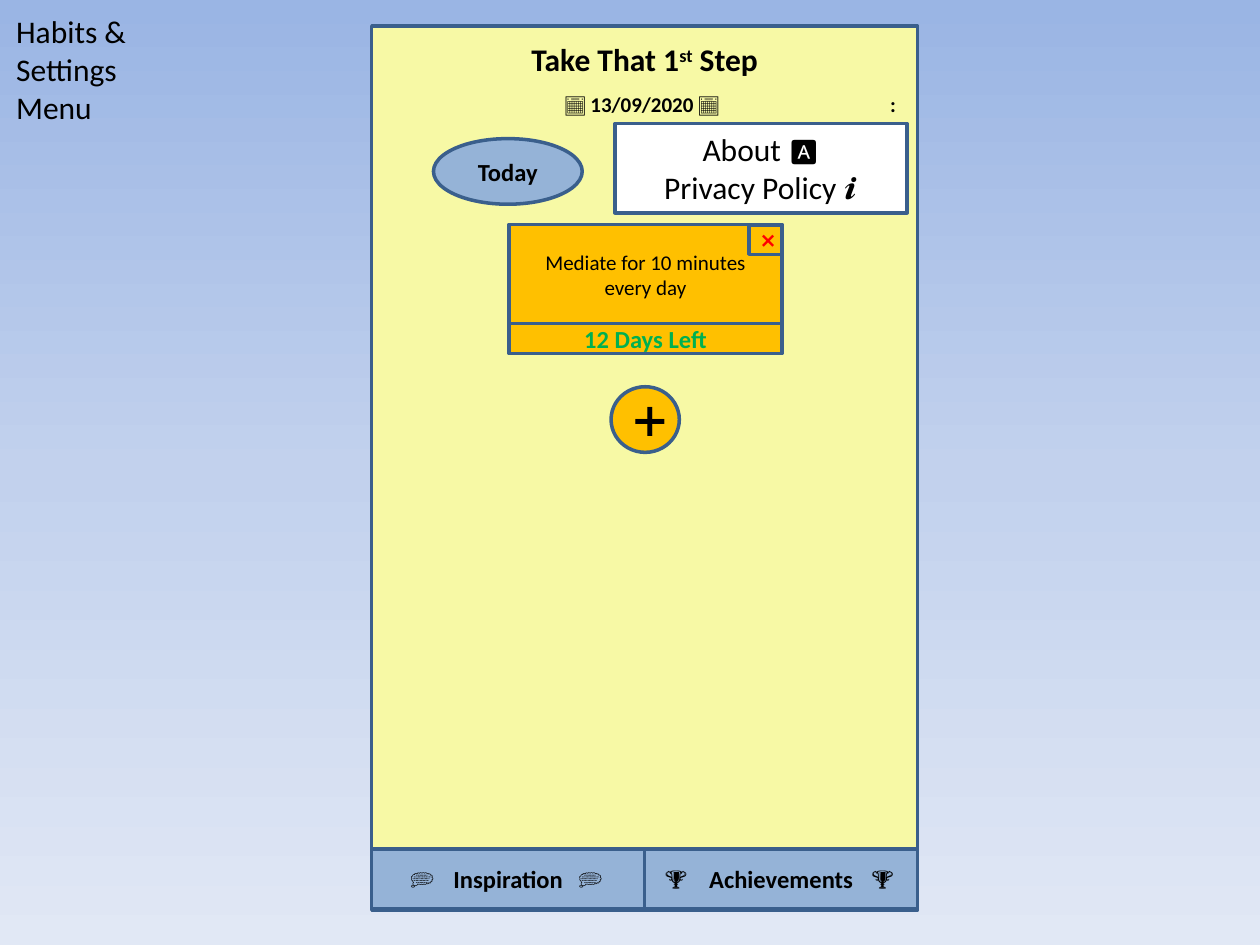
from lxml import etree
from pptx import Presentation
from pptx.dml.color import RGBColor
from pptx.enum.shapes import MSO_SHAPE
from pptx.enum.text import MSO_ANCHOR, PP_ALIGN
from pptx.oxml.ns import qn
from pptx.util import Pt

RECTANGLE, OVAL = MSO_SHAPE.RECTANGLE, MSO_SHAPE.OVAL
LEFT, CENTER, RIGHT = PP_ALIGN.LEFT, PP_ALIGN.CENTER, PP_ALIGN.RIGHT
TOP, MIDDLE = MSO_ANCHOR.TOP, MSO_ANCHOR.MIDDLE
COLORS = {
    "sky_top": "9AB5E4", "sky_middle": "C2D1ED", "sky_bottom": "E1E8F5",
    "screen": "F7F9A5", "blue": "95B3D7", "outline": "3A5F8C",
    "orange": "FFC000", "white": "FFFFFF", "black": "000000",
    "green": "00B050", "red": "FF0000",
}


def write(shape, lines, size, color="black", bold=False, align=CENTER, anchor=MIDDLE):
    frame = shape.text_frame
    frame.word_wrap = True
    frame.vertical_anchor = anchor
    frame.text = "\n".join(lines)
    for paragraph in frame.paragraphs:
        paragraph.alignment = align
        for run in paragraph.runs:
            run.font.name = "Calibri"
            run.font.size = Pt(size)
            run.font.bold = bold
            run.font.color.rgb = RGBColor.from_string(COLORS[color])


def add_box(kind, left, top, width, height, fill):
    shape = slide.shapes.add_shape(kind, Pt(left), Pt(top), Pt(width), Pt(height))
    shape.shadow.inherit = False
    shape.fill.solid()
    shape.fill.fore_color.rgb = RGBColor.from_string(COLORS[fill])
    shape.line.color.rgb = RGBColor.from_string(COLORS["outline"])
    shape.line.width = Pt(2)
    return shape


presentation = Presentation()
presentation.slide_width, presentation.slide_height = Pt(720), Pt(540)
slide = presentation.slides.add_slide(presentation.slide_layouts[5])

background = slide.background.fill
background.gradient()
background.gradient_angle = 270
stops = slide.element.find(".//" + qn("a:gsLst"))
for stop in list(stops):
    stops.remove(stop)
for position, name in ((0, "sky_top"), (50000, "sky_middle"), (100000, "sky_bottom")):
    stop = etree.SubElement(stops, qn("a:gs"), pos=str(position))
    etree.SubElement(stop, qn("a:srgbClr"), val=COLORS[name])

menu_title = slide.shapes.title
menu_title.left, menu_title.top = Pt(2), Pt(3.5)
menu_title.width, menu_title.height = Pt(80), Pt(73)
write(menu_title, ["Habits & Settings Menu"], 18, align=LEFT, anchor=TOP)

screen_left, screen_width = 212.4, 312
add_box(RECTANGLE, screen_left, 15, screen_width, 505, "screen")

heading = slide.shapes.add_textbox(Pt(screen_left), Pt(19.4), Pt(screen_width), Pt(29))
write(heading, ["Take That 1"], 18, bold=True, anchor=TOP)
for text, baseline in (("st", "30000"), (" Step", "0")):
    run = heading.text_frame.paragraphs[0].add_run()
    run.text = text
    run.font.name, run.font.size, run.font.bold = "Calibri", Pt(18), True
    run.font.color.rgb = RGBColor.from_string(COLORS["black"])
    run.font._element.set("baseline", baseline)

date = slide.shapes.add_textbox(Pt(screen_left), Pt(49), Pt(screen_width - 3), Pt(22))
write(date, ["📅 13/09/2020 📅"], 12, bold=True, anchor=TOP)
more = slide.shapes.add_textbox(Pt(490), Pt(49), Pt(29), Pt(22))
write(more, [":"], 12, bold=True, align=RIGHT, anchor=TOP)

boxes = [
    (OVAL, 247.7, 79.2, 85, 37.5, "blue", ["Today"], 14, "black", True),
    (OVAL, 349.2, 221, 39, 37.5, "orange", ["➕"], 24, "black", False),
    (RECTANGLE, 351.4, 70.6, 167, 51, "white",
     ["About 🅰", "Privacy Policy ℹ"], 18, "black", False),
    (RECTANGLE, 290.9, 128.2, 156, 57, "orange",
     ["Mediate for 10 minutes every day"], 12, "black", False),
    (RECTANGLE, 290.9, 185, 156, 17, "orange", ["12 Days Left"], 14, "green", True),
    (RECTANGLE, 427.9, 128.9, 18.7, 16.5, "orange", ["❌"], 12, "red", True),
]
for kind, left, top, width, height, fill, lines, size, color, bold in boxes:
    write(add_box(kind, left, top, width, height, fill), lines, size, color, bold)

tab_width, tab_top, tab_height, icon_width = screen_width / 2, 485.3, 34, 30
for index, (label, icon, offset) in enumerate(
        (("Inspiration", "💭", 48), ("Achievements", "🏆", 59))):
    left = screen_left + index * tab_width
    write(add_box(RECTANGLE, left, tab_top, tab_width, tab_height, "blue"),
          [label], 14, bold=True)
    for side in (-1, 1):
        icon_left = left + tab_width / 2 + side * offset - icon_width / 2 - 1
        icon_box = slide.shapes.add_textbox(
            Pt(icon_left), Pt(tab_top), Pt(icon_width), Pt(tab_height))
        icon_box.text_frame.margin_left = icon_box.text_frame.margin_right = 0
        write(icon_box, [icon], 14)

presentation.save("out.pptx")
